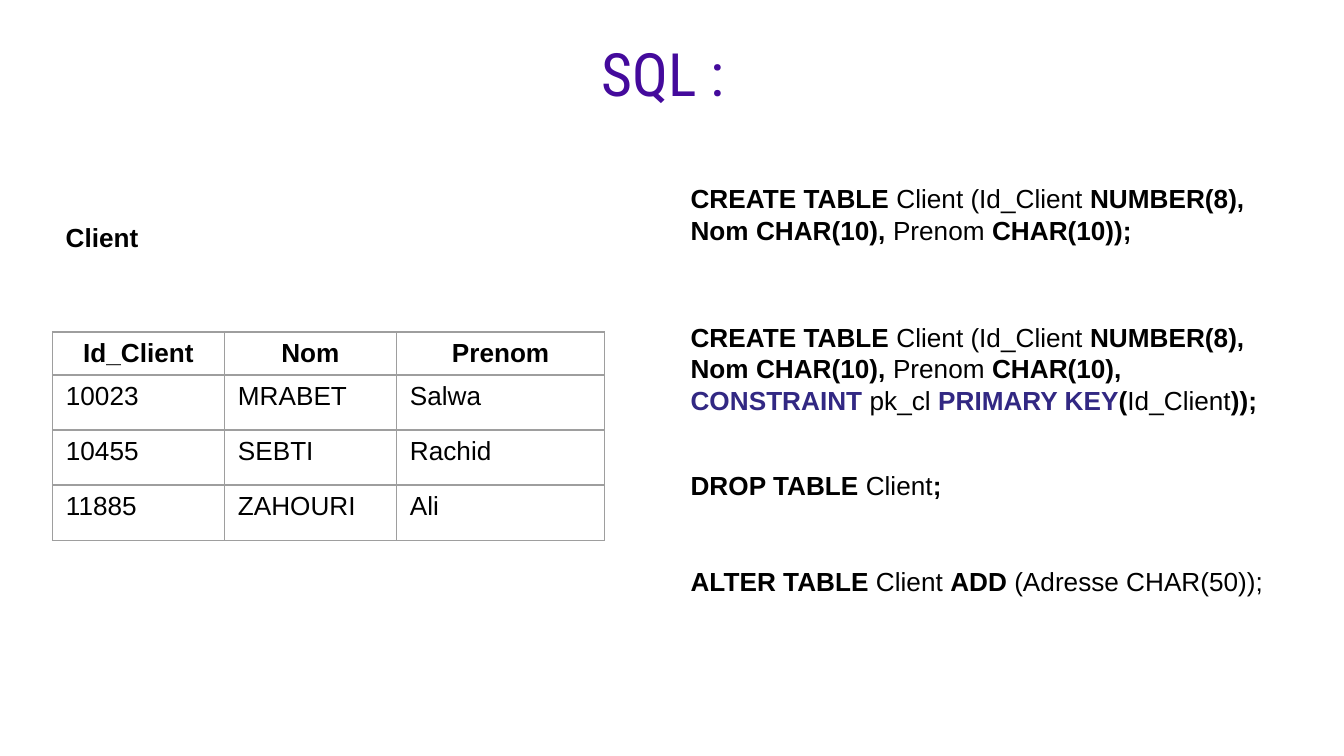
from dataclasses import dataclass

from lxml import etree
from pptx import Presentation
from pptx.dml.color import RGBColor
from pptx.enum.text import MSO_ANCHOR, PP_ALIGN
from pptx.oxml.ns import qn
from pptx.util import Inches, Pt

LEFT, CENTER = PP_ALIGN.LEFT, PP_ALIGN.CENTER
TOP, MIDDLE = MSO_ANCHOR.TOP, MSO_ANCHOR.MIDDLE
BLANK_LAYOUT = 6
PAGE_WIDTH = 10
PAGE_HEIGHT = PAGE_WIDTH * 9 / 16


@dataclass(frozen=True)
class Theme:
    title_font: str = "Roboto Condensed"
    body_font: str = "Arial"
    title_size: int = 32
    body_size: int = 14
    title_color: str = "440A9C"
    text_color: str = "000000"
    accent_color: str = "322883"
    border_color: str = "9E9E9E"
    border_width: float = 0.75


class SlideBuilder:
    def __init__(self, slide, theme):
        self.slide = slide
        self.theme = theme

    def add_span(self, para, text, bold=False, color=None, font=None, size=None):
        span = para.add_run()
        span.text = text
        span.font.name = font or self.theme.body_font
        span.font.size = Pt(size or self.theme.body_size)
        span.font.bold = bold
        span.font.color.rgb = RGBColor.from_string(color or self.theme.text_color)

    def add_box(self, left, top, width, height, align=LEFT, anchor=TOP):
        """Add a wrapping text box and return its empty paragraph."""
        box = self.slide.shapes.add_textbox(
            Inches(left), Inches(top), Inches(width), Inches(height))
        frame = box.text_frame
        frame.word_wrap = True
        frame.vertical_anchor = anchor
        para = frame.paragraphs[0]
        para.alignment = align
        return para

    def add_title(self, text, *bounds):
        para = self.add_box(*bounds, align=CENTER, anchor=MIDDLE)
        theme = self.theme
        self.add_span(para, text, color=theme.title_color,
                      font=theme.title_font, size=theme.title_size)

    def add_text(self, spans, *bounds):
        para = self.add_box(*bounds)
        for span in spans:
            self.add_span(para, *span)

    def add_borders(self, cell):
        properties = cell._tc.get_or_add_tcPr()
        for side in ("a:lnL", "a:lnR", "a:lnT", "a:lnB"):
            line = etree.SubElement(properties, qn(side),
                                    w=str(Pt(self.theme.border_width)))
            fill = etree.SubElement(line, qn("a:solidFill"))
            etree.SubElement(fill, qn("a:srgbClr"), val=self.theme.border_color)

    def add_table(self, rows, left, top, column_widths, row_heights):
        table = self.slide.shapes.add_table(
            len(rows), len(column_widths), Inches(left), Inches(top),
            Inches(sum(column_widths)), Inches(sum(row_heights))).table
        table.first_row = table.horz_banding = False
        for column, width in zip(table.columns, column_widths):
            column.width = Inches(width)
        for row, height in zip(table.rows, row_heights):
            row.height = Inches(height)
        for row_index, values in enumerate(rows):
            header = row_index == 0
            for column_index, value in enumerate(values):
                cell = table.cell(row_index, column_index)
                self.add_borders(cell)
                cell.fill.background()
                para = cell.text_frame.paragraphs[0]
                para.alignment = CENTER if header else LEFT
                self.add_span(para, value, header)


def main():
    deck = Presentation()
    deck.slide_width, deck.slide_height = Inches(PAGE_WIDTH), Inches(PAGE_HEIGHT)
    theme = Theme()
    page = SlideBuilder(deck.slides.add_slide(deck.slide_layouts[BLANK_LAYOUT]), theme)

    clients = [
        ("Id_Client", "Nom", "Prenom"),
        ("10023", "MRABET", "Salwa"),
        ("10455", "SEBTI", "Rachid"),
        ("11885", "ZAHOURI", "Ali"),
    ]
    page.add_table(clients, 0.39, 2.47, (1.28, 1.28, 1.55), (0.32, 0.41, 0.41, 0.41))
    page.add_text([("Client", True)], 0.39, 1.6, 2.49, 0.34)

    create_columns = [
        ("CREATE TABLE ", True),
        ("Client (Id_Client ",),
        ("NUMBER(8), Nom CHAR(10), ", True),
        ("Prenom ",),
    ]
    primary_key = [
        ("CHAR(10), ", True),
        ("CONSTRAINT ", True, theme.accent_color),
        ("pk_cl ",),
        ("PRIMARY KEY", True, theme.accent_color),
        ("(", True),
        ("Id_Client",),
        ("));", True),
    ]
    statements = [
        (1.31, 0.57, create_columns + [("CHAR(10));", True)]),
        (2.34, 0.81, create_columns + primary_key),
        (3.44, 0.34, [("DROP TABLE ", True), ("Client",), (";", True)]),
        (4.16, 0.34, [("ALTER TABLE ", True), ("Client ",), ("ADD", True),
                      (" (Adresse CHAR(50));",)]),
    ]
    for top, height, spans in statements:
        page.add_text(spans, 5.04, top, 4.58, height)

    page.add_title("SQL :", 0.5, 0.26, 8.87, 0.56)
    deck.save("out.pptx")


if __name__ == "__main__":
    main()
